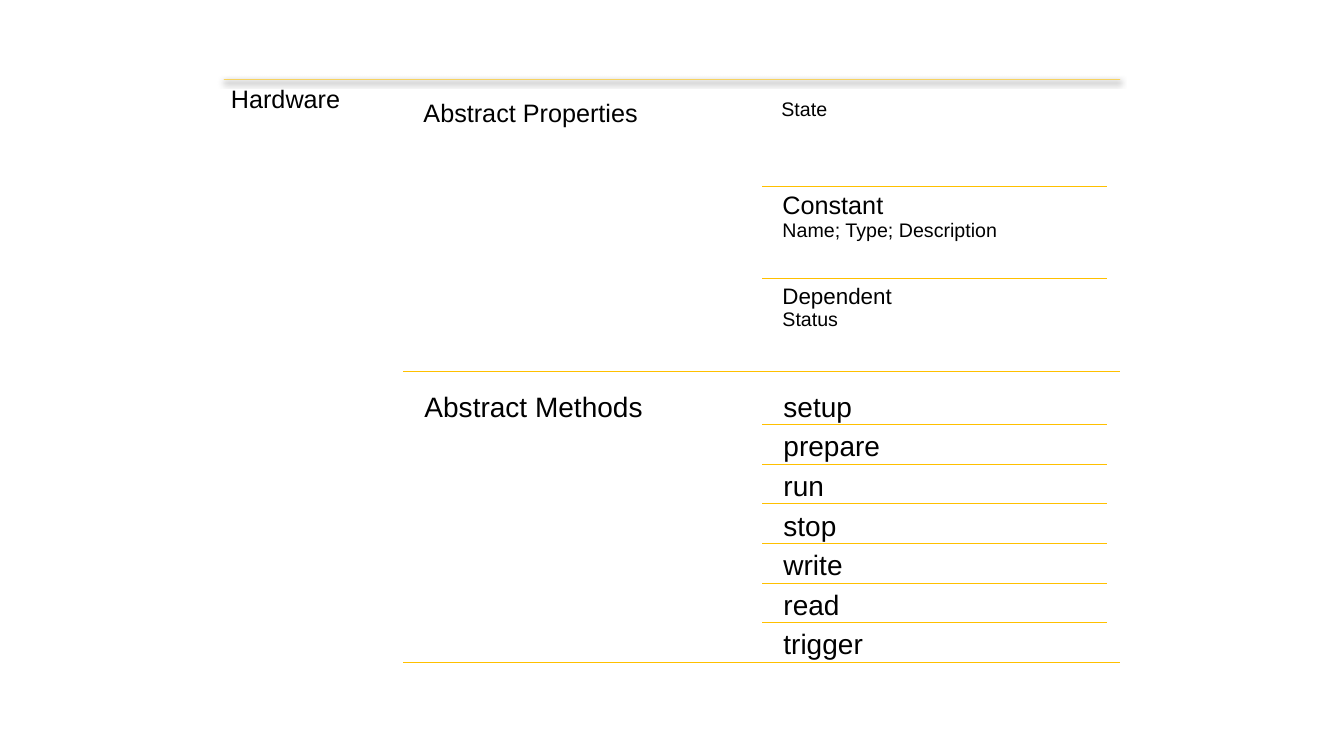
from dataclasses import dataclass

from lxml import etree
from pptx import Presentation
from pptx.dml.color import RGBColor
from pptx.enum import shapes, text
from pptx.oxml import ns
from pptx.util import Inches, Pt


@dataclass(frozen=True)
class Theme:
    font: str = "Arial"
    ink: RGBColor = RGBColor(0, 0, 0)
    rule: RGBColor = RGBColor(0xFF, 0xC0, 0x00)
    rule_width: float = 0.5
    detail: int = 14
    dependent: int = 16
    heading: int = 18
    method: int = 20


theme = Theme()
presentation = Presentation()
presentation.slide_width = Inches(13.33)
presentation.slide_height = Inches(7.5)
slide = presentation.slides.add_slide(presentation.slide_layouts[6])


def add_text(lines, left, top, width, height, inset=0.07):
    """Add one paragraph whose (words, size) lines are split by line breaks."""
    box = slide.shapes.add_textbox(Inches(left), Inches(top), Inches(width), Inches(height))
    frame = box.text_frame
    frame.word_wrap = True
    frame.vertical_anchor = text.MSO_ANCHOR.TOP
    frame.margin_left = frame.margin_right = Inches(inset)
    frame.margin_top = frame.margin_bottom = Inches(inset)
    paragraph = frame.paragraphs[0]
    paragraph.line_spacing = 0.9
    for index, (words, size) in enumerate(lines):
        if index:
            paragraph.add_line_break()
        run = paragraph.add_run()
        run.text = words
        run.font.name = theme.font
        run.font.size = Pt(size)
        run.font.color.rgb = theme.ink


def add_rule(left, right, y):
    """Add a horizontal line and return it with its empty effect list."""
    rule = slide.shapes.add_connector(
        shapes.MSO_CONNECTOR.STRAIGHT, Inches(left), Inches(y), Inches(right), Inches(y))
    rule.line.color.rgb = theme.rule
    rule.line.width = Pt(theme.rule_width)
    effects = etree.SubElement(rule._element.spPr, ns.qn("a:effectLst"))
    return rule, effects


# Column edges and row heights
root_left, group_left, right_edge = 2.22, 4.0, 11.11
group_text, item_text, column_width = 4.13, 7.69, 3.42
item_left, item_right = 7.56, 10.98
table_top, group_height, text_gap = 0.79, 2.75, 0.14
properties_top, properties_bottom = 0.93, 3.68
methods_top = properties_bottom + text_gap

# Top rule with its soft shadow
top_rule, effects = add_rule(root_left, right_edge, table_top)
line_color = top_rule._element.spPr.find(".//" + ns.qn("a:srgbClr"))
etree.SubElement(line_color, ns.qn("a:alpha"), val="90000")
shadow = etree.SubElement(effects, ns.qn("a:outerShdw"), blurRad=str(Pt(4.5)),
                          dist=str(Pt(1.5)), dir="5400000", rotWithShape="0")
shadow_color = etree.SubElement(shadow, ns.qn("a:srgbClr"), val=str(theme.ink))
etree.SubElement(shadow_color, ns.qn("a:alpha"), val="63000")

add_text([("Hardware", theme.heading)], root_left, table_top, 1.78, 5.92)

# Abstract properties
add_text([("Abstract Properties", theme.heading)],
         group_text, properties_top, column_width, group_height)
properties = [
    ([("State", theme.detail)], 0.06),
    ([("Constant", theme.heading), ("Name; Type; Description", theme.detail)], 0.07),
    ([("Dependent", theme.dependent), ("Status", theme.detail)], 0.07),
]
property_height = group_height / len(properties)
for index, (lines, inset) in enumerate(properties):
    top = properties_top + index * property_height
    if index:
        add_rule(item_left, item_right, top)
    add_text(lines, item_text, top, column_width, property_height, inset)
add_rule(group_left, right_edge, properties_bottom)

# Abstract methods
add_text([("Abstract Methods", theme.method)],
         group_text, methods_top, column_width, group_height, 0.08)
methods = ["setup", "prepare", "run", "stop", "write", "read", "trigger"]
method_height = group_height / len(methods)
for index, method in enumerate(methods):
    top = methods_top + index * method_height
    if index:
        add_rule(item_left, item_right, top)
    add_text([(method, theme.method)], item_text, top, column_width, method_height, 0.08)
add_rule(group_left, right_edge, methods_top + group_height)

presentation.save("out.pptx")
